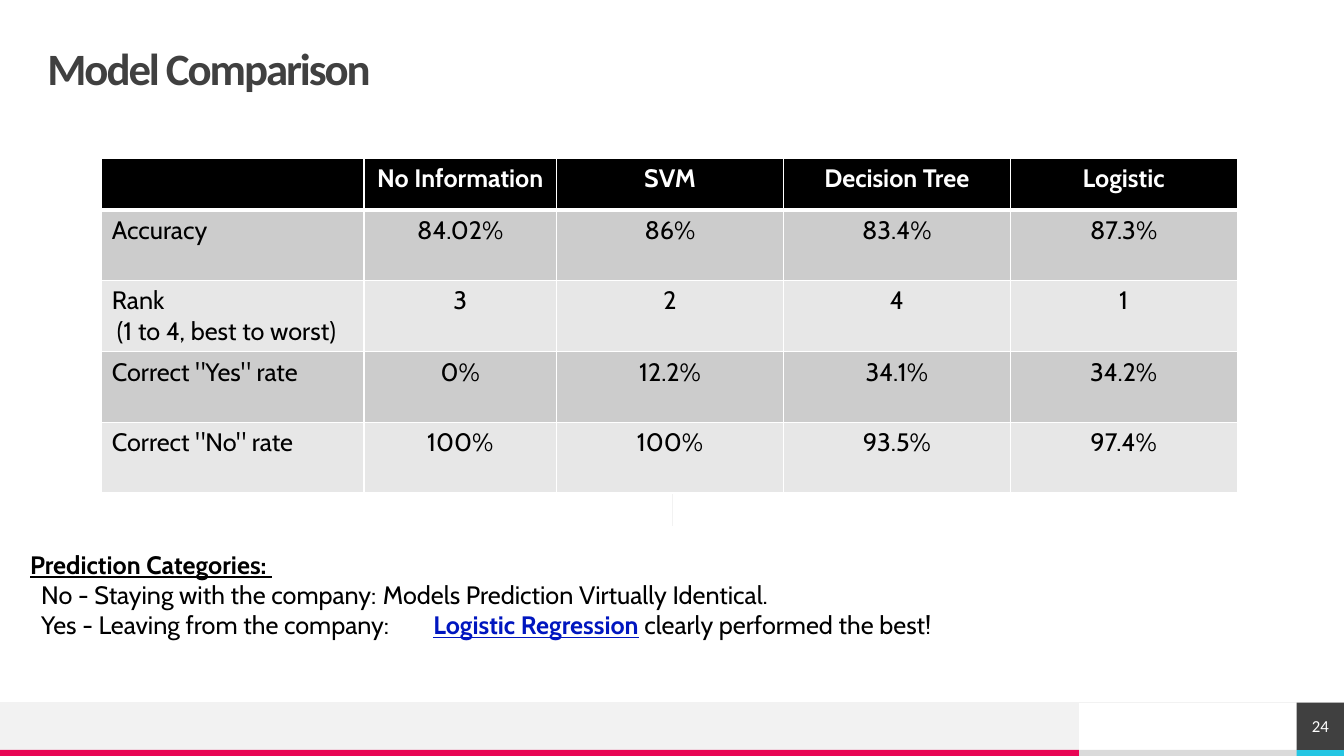
from dataclasses import dataclass

from lxml import etree
from pptx import Presentation
from pptx import util as u
from pptx.dml.color import RGBColor
from pptx.enum import shapes, text
from pptx.oxml import ns
from pptx.shapes.autoshape import Shape
from pptx.slide import Slide
from pptx.table import _Cell
from pptx.text.text import TextFrame, _Paragraph

PX = 9144  # EMU per px, 100 px to the inch

BLACK = RGBColor(0x00, 0x00, 0x00)
WHITE = RGBColor(0xFF, 0xFF, 0xFF)
CHARCOAL = RGBColor(0x40, 0x40, 0x40)
PALE = RGBColor(0xF2, 0xF2, 0xF2)
SILVER = RGBColor(0xDA, 0xDA, 0xDA)
PINK = RGBColor(0xE8, 0x05, 0x54)
CYAN = RGBColor(0x25, 0xC6, 0xE3)
BLUE = RGBColor(0x00, 0x16, 0xBF)
ROW_FILLS = (RGBColor(0xCC, 0xCC, 0xCC), RGBColor(0xE7, 0xE7, 0xE7))


@dataclass(frozen=True)
class Box:
    left: int
    top: int
    width: int
    height: int

    def emu(self) -> tuple[int, int, int, int]:
        return self.left * PX, self.top * PX, self.width * PX, self.height * PX


@dataclass(frozen=True)
class Panel:
    box: Box
    fill: RGBColor


@dataclass(frozen=True)
class Rule:
    start: tuple[int, int]
    end: tuple[int, int]


FOOTER_PANELS = (
    Panel(Box(1070, 744, 217, 6), SILVER),
    Panel(Box(0, 697, 1070, 47), PALE),
    Panel(Box(0, 744, 1070, 6), PINK),
    Panel(Box(1286, 744, 47, 6), CYAN),
)
PAGE_NUMBER = Panel(Box(1286, 697, 47, 47), CHARCOAL)
RULES = (Rule((1333, 697), (0, 697)), Rule((667, 258), (667, 522)))

TITLE_BOX = Box(47, 47, 1239, 47)
TABLE_BOX = Box(101, 157, 1126, 331)
COLUMN_WIDTHS = (260, 191, 225, 225, 225)
ROW_HEIGHTS = (51, 70, 70, 70, 70)
RESULTS = (
    ("", "No Information", "SVM", "Decision Tree", "Logistic"),
    ("Accuracy", "84.02%", "86%", "83.4%", "87.3%"),
    ("Rank\n(1 to 4, best to worst)", "3", "2", "4", "1"),
    ('Correct "Yes" rate', "0%", "12.2%", "34.1%", "34.2%"),
    ('Correct "No" rate', "100%", "100%", "93.5%", "97.4%"),
)
NOTES_BOX = Box(20, 540, 1274, 131)


def write(paragraph: _Paragraph, words: str, *, size: float = 18, font: str = "Cabin",
          color: RGBColor = BLACK, bold: bool = False, underline: bool = False,
          spacing: int = 0) -> None:
    run = paragraph.add_run()
    run.text = words
    run.font.size = u.Pt(size)
    run.font.name = font
    run.font.color.rgb = color
    run.font.bold = bold
    run.font.underline = underline
    if spacing:
        run._r.get_or_add_rPr().set("spc", str(spacing))


def indent(paragraph: _Paragraph, first_line: int, tab: int = 0) -> None:
    properties = paragraph._p.get_or_add_pPr()
    properties.set("marL", "0")
    properties.set("indent", str(first_line * PX))
    if tab:
        stops = etree.SubElement(properties, ns.qn("a:tabLst"))
        etree.SubElement(stops, ns.qn("a:tab"), pos=str(tab * PX), algn="l")


def center_in_frame(frame: TextFrame) -> None:
    frame.margin_left = frame.margin_top = frame.margin_right = frame.margin_bottom = 0
    frame.vertical_anchor = text.MSO_ANCHOR.MIDDLE


def add_panel(slide: Slide, panel: Panel) -> Shape:
    shape = slide.shapes.add_shape(shapes.MSO_SHAPE.RECTANGLE, *panel.box.emu())
    shape.shadow.inherit = False
    shape.fill.solid()
    shape.fill.fore_color.rgb = panel.fill
    shape.line.fill.background()
    return shape


def add_rule(slide: Slide, rule: Rule) -> None:
    ends = [value * PX for value in rule.start + rule.end]
    line = slide.shapes.add_connector(shapes.MSO_CONNECTOR.STRAIGHT, *ends)
    line.line.color.rgb = PALE
    line.line.width = u.Pt(0.5)
    etree.SubElement(line._element.spPr, ns.qn("a:effectLst"))


def set_borders(cell: _Cell, row: int) -> None:
    properties = cell._tc.get_or_add_tcPr()
    widths = {"L": 1, "R": 1, "T": 3 if row == 1 else 1, "B": 3 if row == 0 else 1}
    for side, width in widths.items():
        border = etree.SubElement(properties, ns.qn(f"a:ln{side}"), w=str(u.Pt(width)))
        fill = etree.SubElement(border, ns.qn("a:solidFill"))
        etree.SubElement(fill, ns.qn("a:srgbClr"), val=str(WHITE))


def add_results(slide: Slide) -> None:
    table = slide.shapes.add_table(
        len(ROW_HEIGHTS), len(COLUMN_WIDTHS), *TABLE_BOX.emu()).table
    for column, width in zip(table.columns, COLUMN_WIDTHS):
        column.width = width * PX
    for r, values in enumerate(RESULTS):
        table.rows[r].height = ROW_HEIGHTS[r] * PX
        header = r == 0
        for c, value in enumerate(values):
            cell = table.cell(r, c)
            set_borders(cell, r)
            cell.fill.solid()
            cell.fill.fore_color.rgb = BLACK if header else ROW_FILLS[(r - 1) % 2]
            for i, words in enumerate(value.split("\n") if value else ()):
                frame = cell.text_frame
                line = frame.add_paragraph() if i else frame.paragraphs[0]
                line.alignment = text.PP_ALIGN.CENTER if c else text.PP_ALIGN.LEFT
                if i:
                    indent(line, 5)
                write(line, words, color=WHITE if header else BLACK, bold=header)


def add_notes(slide: Slide) -> None:
    frame = slide.shapes.add_textbox(*NOTES_BOX.emu()).text_frame
    frame.word_wrap = True
    heading = frame.paragraphs[0]
    write(heading, "Prediction Categories: ", bold=True, underline=True)

    staying = frame.add_paragraph()
    indent(staying, 11, tab=378)
    write(staying, "No - Staying with the company:\tModels Prediction Virtually Identical.")

    leaving = frame.add_paragraph()
    indent(leaving, 11, tab=373)
    write(leaving, "Yes - Leaving from the company:\t")
    write(leaving, "Logistic Regression", color=BLUE, bold=True, underline=True)
    write(leaving, " clearly performed the best!")


def main() -> None:
    deck = Presentation()
    deck.slide_width, deck.slide_height = 1333 * PX, 750 * PX
    slide = deck.slides.add_slide(deck.slide_layouts.get_by_name("Title Only"))

    # Footer band and thin rules
    for panel in FOOTER_PANELS:
        add_panel(slide, panel)
    for rule in RULES:
        add_rule(slide, rule)

    # Page number
    number = add_panel(slide, PAGE_NUMBER).text_frame
    center_in_frame(number)
    number.paragraphs[0].alignment = text.PP_ALIGN.CENTER
    write(number.paragraphs[0], "24", size=12, font="Calibri", color=WHITE)

    # Title
    title = slide.shapes.title
    title.left, title.top, title.width, title.height = TITLE_BOX.emu()
    center_in_frame(title.text_frame)
    title.text_frame.auto_size = text.MSO_AUTO_SIZE.NONE
    heading = title.text_frame.paragraphs[0]
    heading.alignment = text.PP_ALIGN.LEFT
    heading.line_spacing = 0.9
    write(heading, "Model Comparison", size=32, font="Calibri", color=CHARCOAL,
          bold=True, spacing=-150)

    # Results and conclusions
    add_results(slide)
    add_notes(slide)
    deck.save("out.pptx")


if __name__ == "__main__":
    main()
